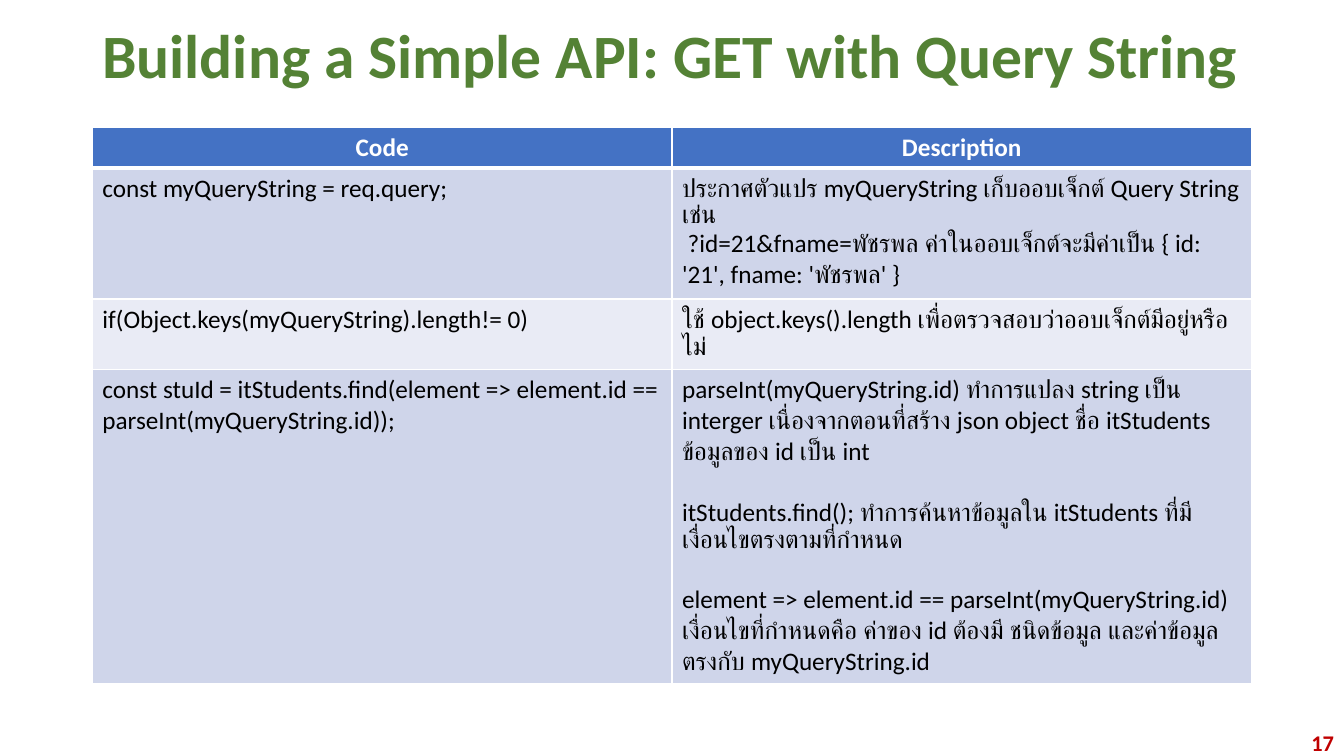
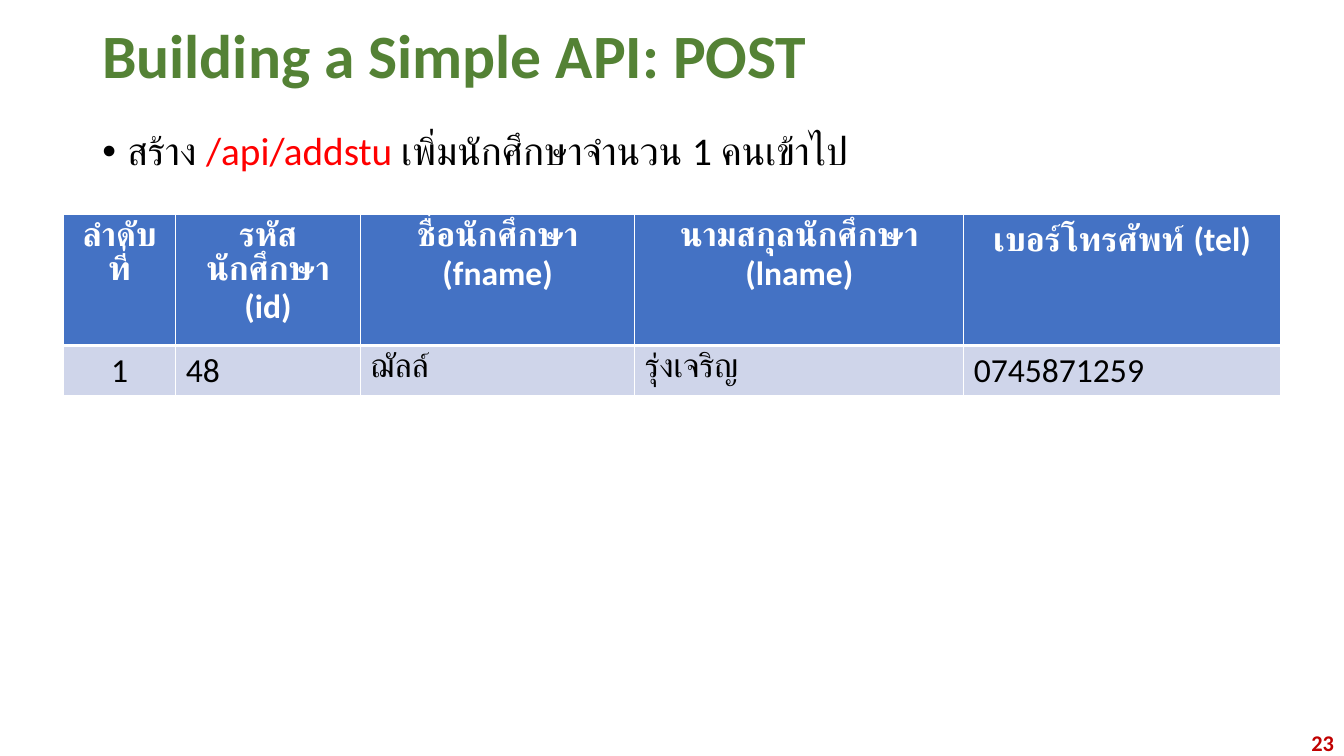
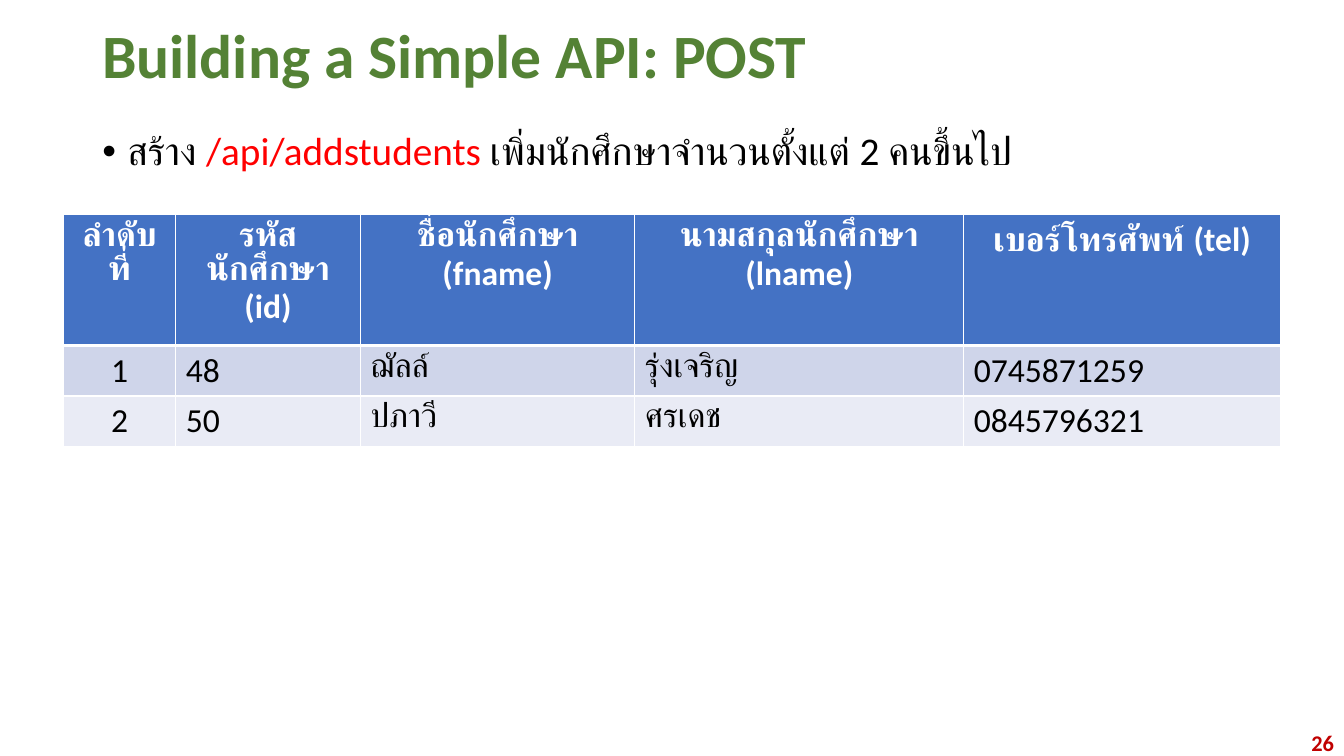
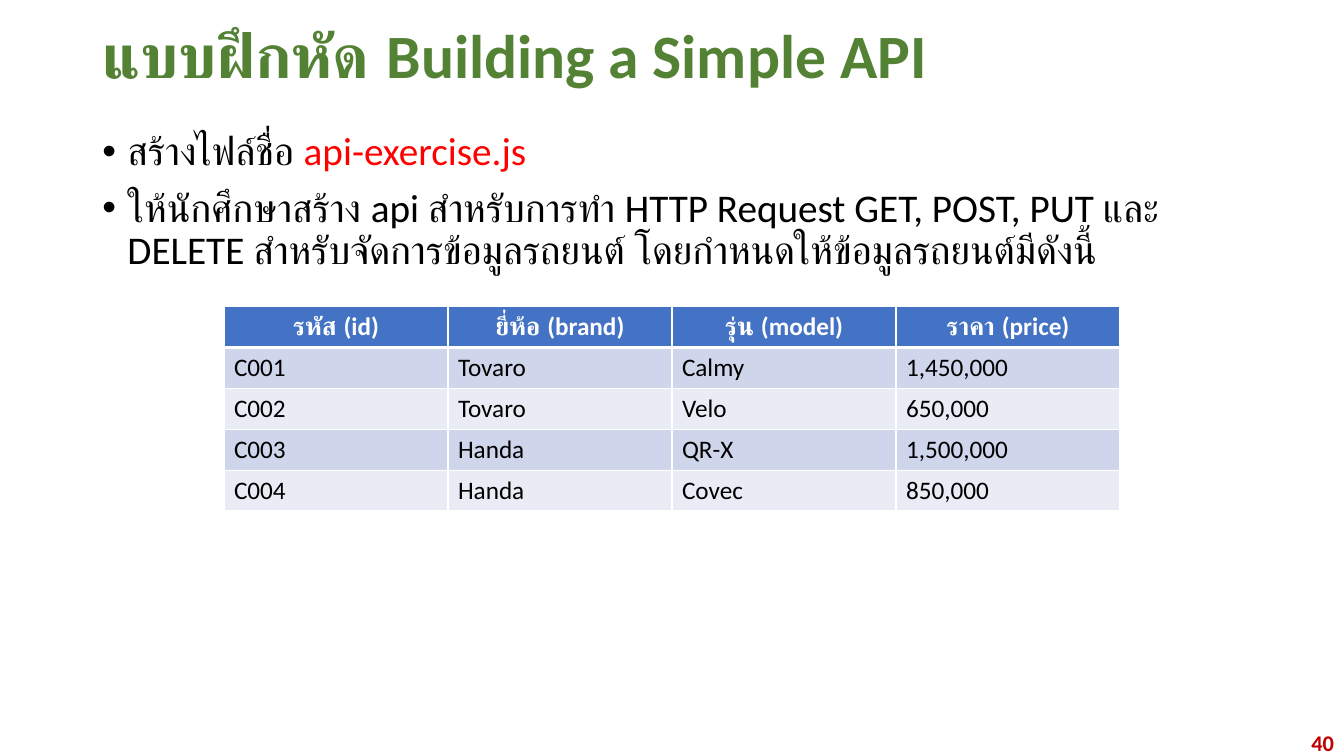
from pptx import Presentation
from pptx.dml.color import RGBColor
from pptx.enum import text
from pptx.oxml import parse_xml
from pptx.oxml import ns
from pptx.util import Pt

COLORS = {
    "title": "548235", "number": "C00000", "text": "000000", "accent": "FF0000",
    "header": "4472C4", "odd": "CFD5EA", "even": "E9EBF5", "white": "FFFFFF",
}
FONT = "Calibri"
WIDTH, HEIGHT = 960, 540
MARGIN = 66
ROW_HEIGHT = 29.2
BLANK_LINE = 22
CENTER, RIGHT = text.PP_ALIGN.CENTER, text.PP_ALIGN.RIGHT

QUERY_ROWS = [
    ["Code", "Description"],
    ["const myQueryString = req.query;",
     ["ประกาศตัวแปร myQueryString เก็บออบเจ็กต์ Query String เช่น",
      " ?id=21&fname=พัชรพล ค่าในออบเจ็กต์จะมีค่าเป็น { id: '21', fname: 'พัชรพล' }"]],
    ["if(Object.keys(myQueryString).length!= 0)",
     "ใช้ object.keys().length เพื่อตรวจสอบว่าออบเจ็กต์มีอยู่หรือไม่"],
    ["const stuId = itStudents.find(element => element.id == parseInt(myQueryString.id));",
     ["parseInt(myQueryString.id) ทำการแปลง string เป็น interger เนื่องจากตอนที่สร้าง json object ชื่อ itStudents ข้อมูลของ id เป็น int",
      ("itStudents.find(); ทำการค้นหาข้อมูลใน itStudents ที่มีเงื่อนไขตรงตามที่กำหนด", BLANK_LINE),
      ("element => element.id == parseInt(myQueryString.id)", BLANK_LINE),
      "เงื่อนไขที่กำหนดคือ ค่าของ id ต้องมี ชนิดข้อมูล และค่าข้อมูลตรงกับ myQueryString.id"]],
]
STUDENT_ROWS = [
    ["ลำดับที่", "รหัสนักศึกษา (id)", "ชื่อนักศึกษา (fname)",
     "นามสกุลนักศึกษา (lname)", "เบอร์โทรศัพท์ (tel)"],
    ["1", "48", "ฌัลล์", "รุ่งเจริญ", "0745871259"],
    ["2", "50", "ปภาวี", "ศรเดช", "0845796321"],
]
CAR_ROWS = [
    ["รหัส (id)", "ยี่ห้อ (brand)", "รุ่น (model)", "ราคา (price)"],
    ["C001", "Tovaro", "Calmy", "1,450,000"],
    ["C002", "Tovaro", "Velo", "650,000"],
    ["C003", "Handa", "QR-X", "1,500,000"],
    ["C004", "Handa", "Covec", "850,000"],
]
STUDENT_TABLE = {"top": 153.2, "columns": [80, 132, 196, 235, 226], "size": 24, "centered": [0]}

SLIDES = [
    {"title": "Building a Simple API: GET with Query String", "number": "17",
     "bullets": [],
     "table": {"top": 90.8, "columns": [414] * 2, "size": 18, "rows": QUERY_ROWS}},
    {"title": "Building a Simple API: POST", "number": "23",
     "bullets": [[("สร้าง ", "text"), ("/api/addstu ", "accent"),
                  ("เพิ่มนักศึกษาจำนวน 1 คนเข้าไป", "text")]],
     "table": {**STUDENT_TABLE, "rows": STUDENT_ROWS[:2]}},
    {"title": "Building a Simple API: POST", "number": "26",
     "bullets": [[("สร้าง ", "text"), ("/api/addstudents ", "accent"),
                  ("เพิ่มนักศึกษาจำนวนตั้งแต่ 2 คนขึ้นไป", "text")]],
     "table": {**STUDENT_TABLE, "rows": STUDENT_ROWS}},
    {"title": "แบบฝึกหัด Building a Simple API", "number": "40",
     "bullets": [[("สร้างไฟล์ชื่อ ", "text"), ("api-exercise.js", "accent")],
                 [("ให้นักศึกษาสร้าง api สำหรับการทำ HTTP Request GET, POST, PUT และ DELETE "
                   "สำหรับจัดการข้อมูลรถยนต์ โดยกำหนดให้ข้อมูลรถยนต์มีดังนี้", "text")]],
     "table": {"top": 219, "columns": [160] * 4, "size": 18, "rows": CAR_ROWS}},
]


def style(font, size, color, bold=False):
    font.name, font.size, font.bold = FONT, Pt(size), bold
    font.color.rgb = RGBColor.from_string(COLORS[color])


def add_box(page, left, top, width, height, anchor=text.MSO_ANCHOR.MIDDLE):
    box = page.shapes.add_textbox(Pt(left), Pt(top), Pt(width), Pt(height))
    box.text_frame.word_wrap = True
    box.text_frame.vertical_anchor = anchor
    return box.text_frame


def paragraphs(frame, items):
    for index, item in enumerate(items):
        yield (frame.add_paragraph() if index else frame.paragraphs[0]), item


def add_title(page, title):
    para = add_box(page, MARGIN, 10.8, WIDTH - 2 * MARGIN, 62).paragraphs[0]
    para.text, para.line_spacing = title, 0.9
    style(para.font, 44, "title", True)


def add_number(page, number):
    para = add_box(page, WIDTH - 216, HEIGHT - 19.4, 216, 19.4).paragraphs[0]
    para.text, para.alignment = number, RIGHT
    style(para.font, 16, "number", True)


def add_bullets(page, bullets):
    frame = add_box(page, MARGIN, 90.8, WIDTH - 2 * MARGIN, 62 * len(bullets),
                    text.MSO_ANCHOR.TOP)
    for para, spans in paragraphs(frame, bullets):
        para.line_spacing, para.space_before = 0.9, Pt(10)
        props = para._p.get_or_add_pPr()
        props.set("marL", str(Pt(18)))
        props.set("indent", str(-Pt(18)))
        props.append(parse_xml(f'<a:buFont {ns.nsdecls("a")} typeface="Arial"/>'))
        props.append(parse_xml(f'<a:buChar {ns.nsdecls("a")} char="•"/>'))
        for words, color in spans:
            span = para.add_run()
            span.text = words
            style(span.font, 28, color)


def add_borders(cell, top, bottom):
    props = cell._tc.get_or_add_tcPr()
    for side, width in (("L", 1), ("R", 1), ("T", top), ("B", bottom)):
        props.append(parse_xml(
            f'<a:ln{side} {ns.nsdecls("a")} w="{Pt(width)}"><a:solidFill>'
            f'<a:srgbClr val="{COLORS["white"]}"/></a:solidFill></a:ln{side}>'))


def fill_cell(cell, content, size, row, centered):
    header = row == 0
    add_borders(cell, 3 if row == 1 else 1, 3 if header else 1)
    cell.fill.solid()
    shade = "header" if header else "odd" if row % 2 else "even"
    cell.fill.fore_color.rgb = RGBColor.from_string(COLORS[shade])
    lines = [content] if isinstance(content, str) else content
    for para, line in paragraphs(cell.text_frame, lines):
        words, gap = (line, 0) if isinstance(line, str) else line
        para.text = words
        if gap:
            para.space_before = Pt(gap)
        if header or centered:
            para.alignment = CENTER
        style(para.font, size, "white" if header else "text", header)


def add_grid(page, top, columns, size, rows, centered=()):
    width = sum(columns)
    table = page.shapes.add_table(
        len(rows), len(columns), Pt((WIDTH - width) / 2), Pt(top),
        Pt(width), Pt(ROW_HEIGHT * len(rows))).table
    for column, column_width in zip(table.columns, columns):
        column.width = Pt(column_width)
    for row, contents in enumerate(rows):
        for column, content in enumerate(contents):
            fill_cell(table.cell(row, column), content, size, row, column in centered)


def main():
    deck = Presentation()
    deck.slide_width, deck.slide_height = Pt(WIDTH), Pt(HEIGHT)
    for slide in SLIDES:
        page = deck.slides.add_slide(deck.slide_layouts[6])
        add_title(page, slide["title"])
        if slide["bullets"]:
            add_bullets(page, slide["bullets"])
        add_number(page, slide["number"])
        add_grid(page, **slide["table"])
    deck.save("out.pptx")


if __name__ == "__main__":
    main()
